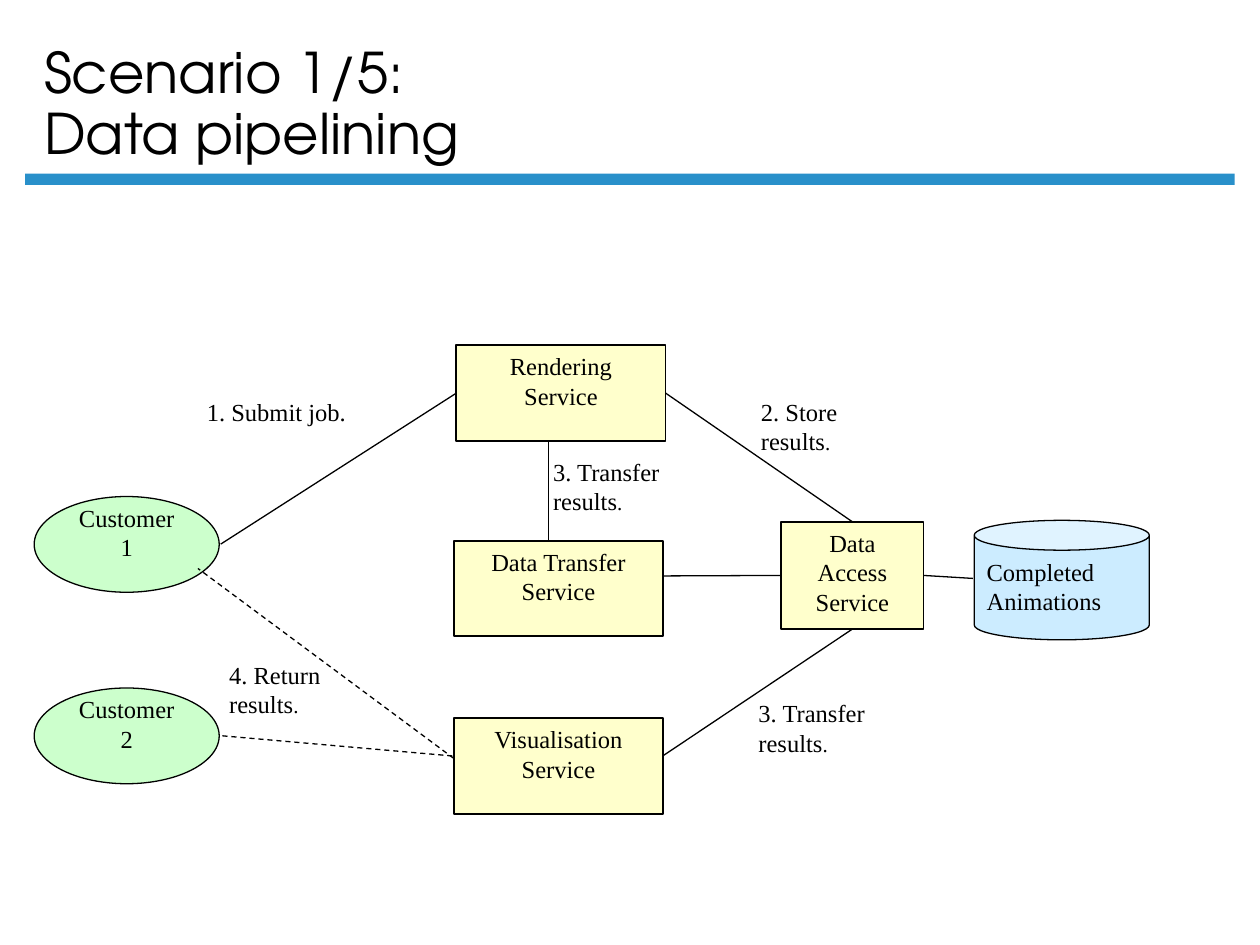
from collections import namedtuple
from dataclasses import dataclass

from pptx import Presentation
from pptx import util as u
from pptx.dml import color
from pptx.enum import dml, shapes, text
from pptx.oxml import xmlchemy

Box = namedtuple("Box", "left top width height")
Point = namedtuple("Point", "x y")
TOP, LEFT, BOTTOM, RIGHT = range(4)


@dataclass(frozen=True)
class Theme:
    ink: str = "000000"
    rule: str = "2990CA"
    service: str = "FFFFCC"
    customer: str = "CCFFCC"
    store: str = "CCECFF"
    title_font: str = "TeX Gyre Adventor"
    body_font: str = "Times New Roman"
    title_size: int = 32
    body_size: int = 14
    stop_size: int = 12
    thin: float = 0.75
    medium: float = 1


THEME = Theme()


def rgb(value):
    return color.RGBColor.from_string(value)


def inside(area, left, top, width, height):
    return Box(area.left + left, area.top + top, width, height)


def lengths(box):
    return [u.Cm(value) for value in box]


def write(shape, lines, size=THEME.body_size, font=THEME.body_font, align=text.PP_ALIGN.LEFT):
    frame = shape.text_frame
    frame.word_wrap = True
    frame.vertical_anchor = text.MSO_ANCHOR.TOP
    frame.text = "\n".join(lines)
    for para in frame.paragraphs:
        para.alignment = align
        for span in para.runs:
            span.font.name = font
            span.font.size = u.Pt(size)
            span.font.color.rgb = rgb(THEME.ink)
    return frame


def add_text(page, box, lines, **style):
    return write(page.shapes.add_textbox(*lengths(box)), lines, **style)


def add_figure(page, kind, box, fill, weight=None):
    figure = page.shapes.add_shape(kind, *lengths(box))
    figure.shadow.inherit = False
    figure.fill.solid()
    figure.fill.fore_color.rgb = rgb(fill)
    if weight:
        figure.line.color.rgb = rgb(THEME.ink)
        figure.line.width = u.Pt(weight)
    else:
        figure.line.fill.background()
    return figure


def add_service(page, box, lines):
    service = add_figure(page, shapes.MSO_SHAPE.RECTANGLE, box, THEME.service, THEME.medium)
    write(service, lines, align=text.PP_ALIGN.CENTER)
    return service


def add_customer(page, box, number):
    add_figure(page, shapes.MSO_SHAPE.OVAL, box, THEME.customer, THEME.thin)
    add_text(page, box, ["Customer", number], align=text.PP_ALIGN.CENTER)


def add_store(page, box):
    add_figure(page, shapes.MSO_SHAPE.CAN, box, THEME.store, THEME.thin)
    add_text(page, inside(box, 0, 0.61, 4.22, 1.8), ["Completed Animations"])


def add_step(page, box, words):
    para = add_text(page, box, [words]).paragraphs[0]
    stop = para.add_run()
    stop.text = "."
    stop.font.name = THEME.body_font
    stop.font.size = u.Pt(THEME.stop_size)
    stop.font.color.rgb = rgb(THEME.ink)


def add_link(page, area, start, end, dashed=False):
    link = page.shapes.add_connector(shapes.MSO_CONNECTOR.STRAIGHT, 0, 0, 0, 0)
    if isinstance(start, Point):
        link.begin_x, link.begin_y = u.Cm(area.left + start.x), u.Cm(area.top + start.y)
    else:
        link.begin_connect(*start)
    if isinstance(end, Point):
        link.end_x, link.end_y = u.Cm(area.left + end.x), u.Cm(area.top + end.y)
    else:
        link.end_connect(*end)
    link.line.color.rgb = rgb(THEME.ink)
    link.line.width = u.Pt(THEME.thin)
    if dashed:
        link.line.dash_style = dml.MSO_LINE.DASH
    link._element.spPr.append(xmlchemy.OxmlElement("a:effectLst"))


def add_heading(page, area):
    add_figure(page, shapes.MSO_SHAPE.RECTANGLE, inside(area, -0.13, 3.2, 24.38, 0.23), THEME.rule)
    frame = add_text(page, area, ["Scenario 1/5:\vData pipelining"],
                     size=THEME.title_size, font=THEME.title_font)
    frame.vertical_anchor = text.MSO_ANCHOR.BOTTOM
    frame.paragraphs[0].line_spacing = 0.9


def add_pipeline(page, area):
    add_store(page, inside(area, 18.95, 3.53, 3.53, 2.41))
    for top, number in ((3.05, "1"), (6.91, "2")):
        add_customer(page, inside(area, 0, top, 3.73, 1.93), number)

    rendering = add_service(page, inside(area, 8.51, 0, 4.22, 1.93), ["Rendering", "Service"])
    for top, name in ((3.94, "Data Transfer"), (7.52, "Visualisation")):
        add_service(page, inside(area, 8.46, top, 4.22, 1.93), [name, "Service"])
    access = add_service(page, inside(area, 15.06, 3.56, 2.87, 2.16), ["Data Access", "Service"])

    for start, end, dashed in (
        (Point(3.76, 4.01), (rendering, LEFT), False),
        ((rendering, RIGHT), (access, TOP), False),
        ((access, BOTTOM), Point(12.67, 8.28), False),
        (Point(8.43, 8.28), Point(3.76, 7.87), True),
        (Point(8.46, 8.33), Point(3.3, 4.5), True),
        (Point(10.37, 1.93), Point(10.37, 3.94), False),
        ((access, LEFT), Point(12.67, 4.65), False),
        (Point(18.92, 4.7), (access, RIGHT), False),
    ):
        add_link(page, area, start, end, dashed)

    add_text(page, inside(area, 3.23, 0.91, 4.01, 1.07), ["1. Submit job."])
    for place, words in (
        ((14.4, 0.91, 3.15, 1.8), "2. Store results"),
        ((14.35, 6.99, 3.33, 1.5), "3. Transfer results"),
        ((3.68, 6.22, 3.61, 1.85), "4. Return results"),
        ((10.21, 2.13, 3.53, 1.5), "3. Transfer results"),
    ):
        add_step(page, inside(area, *place), words)


def main():
    deck = Presentation()
    deck.slide_width, deck.slide_height = u.Cm(25.4), u.Cm(19.05)
    page = deck.slides.add_slide(deck.slide_layouts[6])
    add_heading(page, Box(0.64, 0.3, 21.74, 3.18))
    add_pipeline(page, Box(0.69, 6.96, 22.48, 9.45))
    deck.save("out.pptx")


if __name__ == "__main__":
    main()
